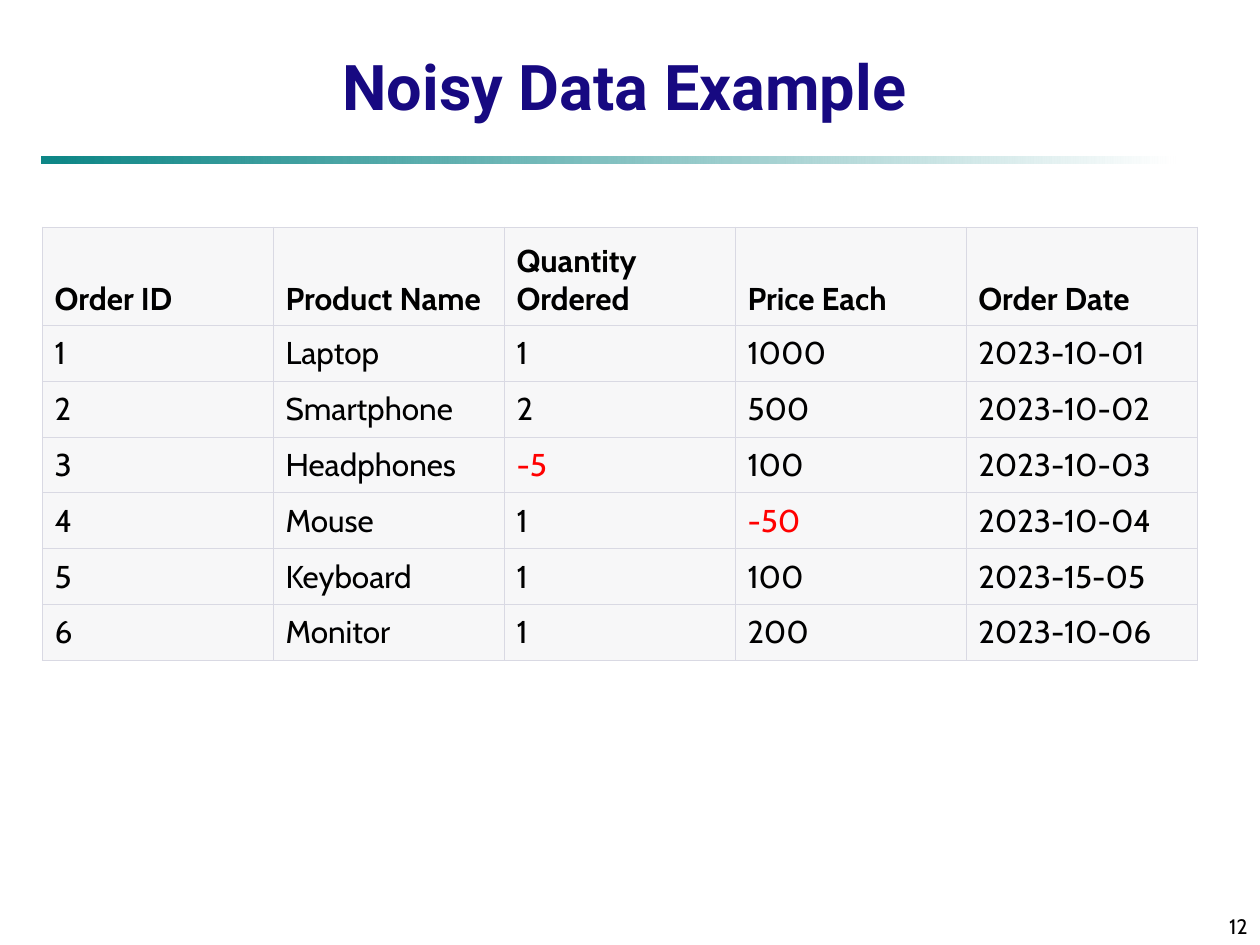
from lxml.etree import SubElement
from pptx import Presentation
from pptx.dml.color import RGBColor
from pptx.enum.shapes import MSO_SHAPE
from pptx.enum.text import MSO_ANCHOR, MSO_AUTO_SIZE, PP_ALIGN
from pptx.oxml.ns import qn
from pptx.util import Emu, Pt


def px(n):
    """Turn pixels (126 to the inch) into EMU."""
    return Emu(round(n * 914400 / 126))


def style(p, size, font, color, bold=False):
    values = {"size": Pt(size), "name": font, "bold": bold}
    for name, value in values.items():
        setattr(p.font, name, value)
    p.font.color.rgb = RGBColor.from_string(color)


prs = Presentation()
prs.slide_width, prs.slide_height = px(1260), px(945)
s = prs.slides.add_slide(prs.slide_layouts[5])

# Gradient rule below the title
rule = s.shapes.add_shape(MSO_SHAPE.RECTANGLE, px(42), px(157), px(1134), px(7))
rule.shadow.inherit = False
rule.line.fill.background()
rule.fill.gradient()
rule.fill.gradient_angle = 0
for stop, color in zip(rule.fill.gradient_stops, ["008080", "FFFFFF"]):
    stop.color.rgb = RGBColor.from_string(color)
start_color = next(rule._element.spPr.iter(qn("a:srgbClr")))
SubElement(start_color, qn("a:alpha"), val="95000")

# Title
title = s.shapes.title
title.left, title.top, title.width, title.height = px(21), px(42), px(1207), px(84)
tf = title.text_frame
tf.text = "Noisy Data Example"
tf.auto_size = MSO_AUTO_SIZE.NONE
tf.vertical_anchor = MSO_ANCHOR.BOTTOM
tf.margin_top = tf.margin_bottom = px(3)
tf.paragraphs[0].alignment = PP_ALIGN.CENTER
style(tf.paragraphs[0], 36, "Roboto", "170981", bold=True)

# Orders table
orders = [
    ["Order ID", "Product Name", "Quantity Ordered", "Price Each", "Order Date"],
    ["1", "Laptop", "1", "1000", "2023-10-01"],
    ["2", "Smartphone", "2", "500", "2023-10-02"],
    ["3", "Headphones", "-5", "100", "2023-10-03"],
    ["4", "Mouse", "1", "-50", "2023-10-04"],
    ["5", "Keyboard", "1", "100", "2023-15-05"],
    ["6", "Monitor", "1", "200", "2023-10-06"],
]
HEADER_H, ROW_H, COL_W = 98, 56, 231
table = s.shapes.add_table(
    len(orders), len(orders[0]), px(42), px(227),
    px(COL_W * len(orders[0])), px(HEADER_H + ROW_H * (len(orders) - 1)),
).table
for col in table.columns:
    col.width = px(COL_W)
for i, values in enumerate(orders):
    header = i == 0
    table.rows[i].height = px(HEADER_H if header else ROW_H)
    for j, value in enumerate(values):
        cell = table.cell(i, j)
        cell.text = value
        cell.vertical_anchor = MSO_ANCHOR.BOTTOM if header else MSO_ANCHOR.MIDDLE
        color = "FF0000" if value.startswith("-") else "000000"
        style(cell.text_frame.paragraphs[0], 18, "Cabin", color, bold=header)
        tc_pr = cell._tc.get_or_add_tcPr()
        for side, width in {"L": 0.34, "R": 0.34, "T": 0.45, "B": 0.45}.items():
            ln = SubElement(tc_pr, qn(f"a:ln{side}"), w=str(Pt(width)))
            SubElement(SubElement(ln, qn("a:solidFill")), qn("a:srgbClr"), val="D9D9E3")
        cell.fill.solid()
        cell.fill.fore_color.rgb = RGBColor.from_string("F7F7F8")

# Page number
number = s.shapes.add_textbox(px(998), px(892), px(262), px(53))
tf = number.text_frame
tf.word_wrap = True
tf.vertical_anchor = MSO_ANCHOR.BOTTOM
tf.text = "12"
tf.paragraphs[0].alignment = PP_ALIGN.RIGHT
style(tf.paragraphs[0], 12, "Cabin", "000000")

prs.save("out.pptx")
